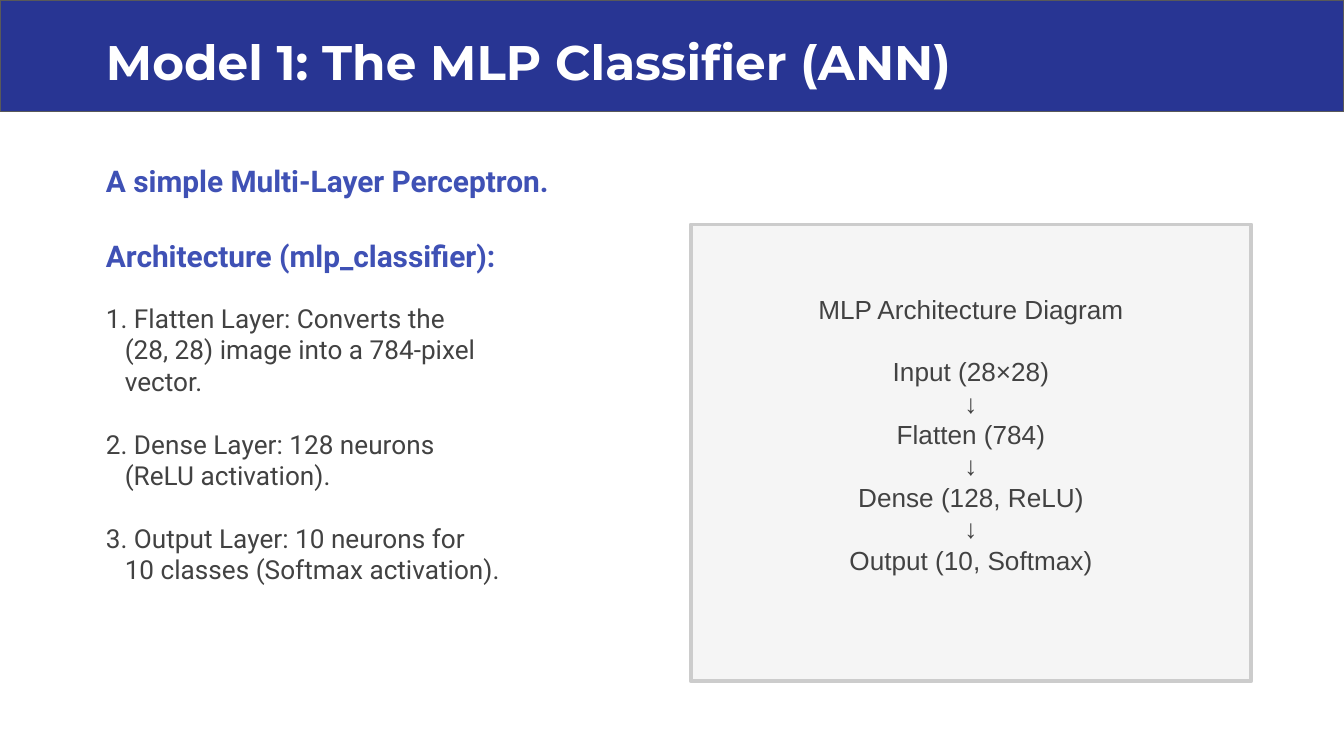
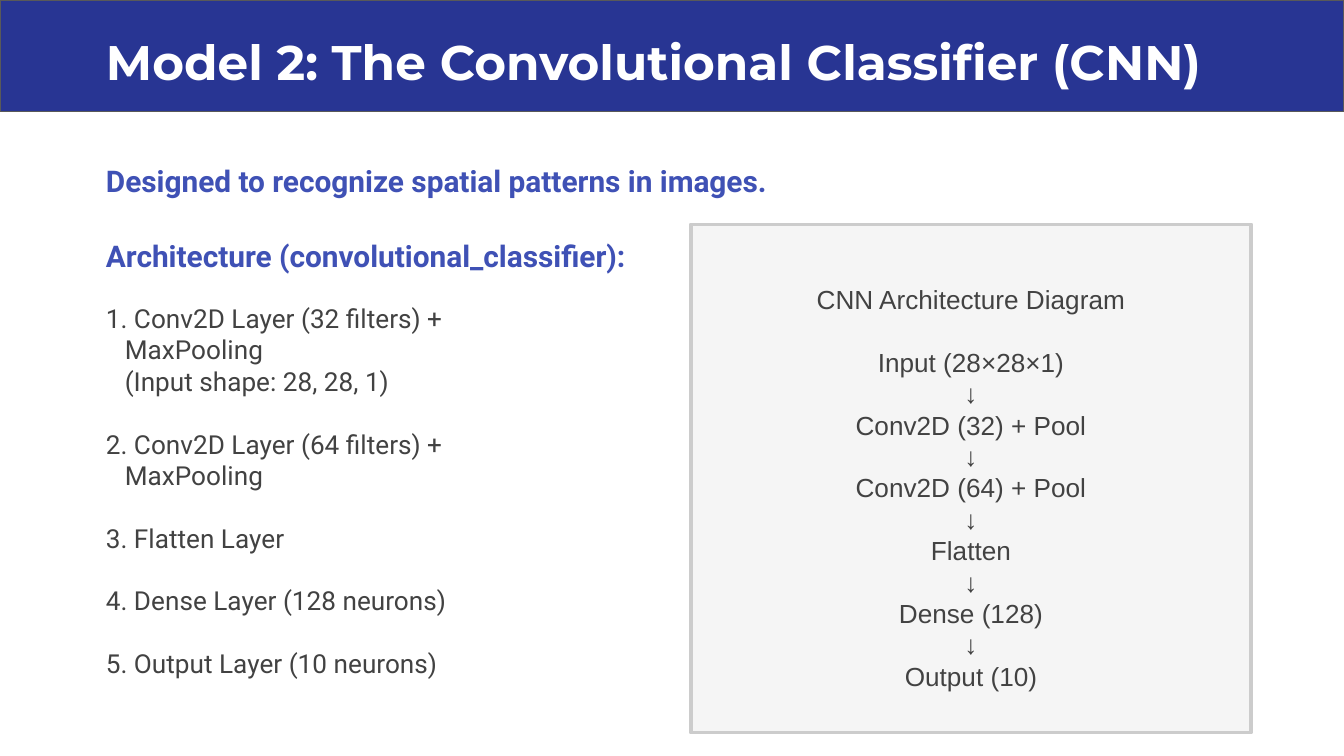
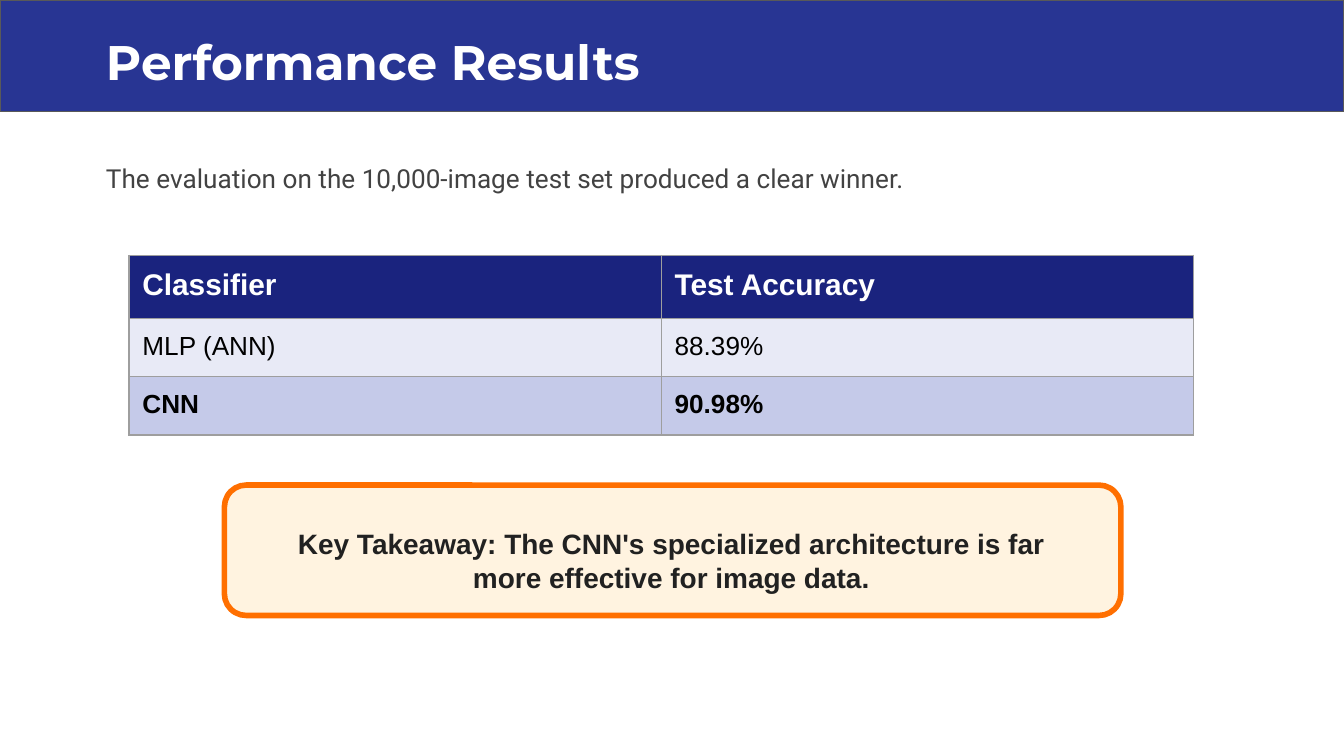
from dataclasses import dataclass

from lxml import etree
from pptx import Presentation
from pptx.dml.color import RGBColor
from pptx.enum.shapes import MSO_SHAPE
from pptx.enum.text import PP_ALIGN
from pptx.oxml.ns import qn
from pptx.util import Inches, Pt

RECTANGLE = MSO_SHAPE.RECTANGLE
ROUNDED_RECTANGLE = MSO_SHAPE.ROUNDED_RECTANGLE
LEFT = PP_ALIGN.LEFT
CENTER = PP_ALIGN.CENTER

COLORS = {
    "white": "FFFFFF",
    "black": "000000",
    "band": "283593",
    "band_line": "595959",
    "heading": "3F51B5",
    "body": "424242",
    "panel": "F5F5F5",
    "panel_line": "CCCCCC",
    "table_header": "1A237E",
    "table_row": "E8EAF6",
    "table_best": "C5CAE9",
    "table_line": "9E9E9E",
    "takeaway": "FFF3E0",
    "takeaway_line": "FF6F00",
    "takeaway_text": "212121",
}
TITLE_FONT = "Montserrat"
BODY_FONT = "Roboto"
PLAIN_FONT = "Arial"

LINE_RATIO = 1.2
INSET = Inches(0.1)
HANGING_INDENT = Inches(0.14)
SLIDE_WIDTH = 10
SLIDE_HEIGHT = SLIDE_WIDTH * 9 / 16
MARGIN = 0.69
CONTENT_WIDTH = 8.61
COLUMN_WIDTH = 4.17
PANEL_LEFT = 5.14
PANEL_TOP = 1.67


@dataclass(frozen=True)
class Box:
    left: float
    top: float
    width: float
    height: float

    def lengths(self) -> list:
        return [Inches(value) for value in (self.left, self.top, self.width, self.height)]


@dataclass(frozen=True)
class Model:
    title: str
    summary: str
    function_name: str
    layers: list[str]
    diagram_title: str
    stages: list[str]
    panel_height: float
    diagram_box: Box


@dataclass(frozen=True)
class ResultRow:
    cells: tuple[str, str]
    fill: str
    color: str = "black"
    size: int = 14
    bold: bool = False
    height: float = 0.43


MODELS = [
    Model(
        title="Model 1: The MLP Classifier (ANN)",
        summary="A simple Multi-Layer Perceptron.",
        function_name="mlp_classifier",
        layers=[
            "Flatten Layer: Converts the\v(28, 28) image into a 784-pixel\vvector.",
            "Dense Layer: 128 neurons\v(ReLU activation).",
            "Output Layer: 10 neurons for\v10 classes (Softmax activation).",
        ],
        diagram_title="MLP Architecture Diagram",
        stages=["Input (28×28)", "Flatten (784)", "Dense (128, ReLU)", "Output (10, Softmax)"],
        panel_height=3.4,
        diagram_box=Box(PANEL_LEFT, 2.08, COLUMN_WIDTH, 2.57),
    ),
    Model(
        title="Model 2: The Convolutional Classifier (CNN)",
        summary="Designed to recognize spatial patterns in images.",
        function_name="convolutional_classifier",
        layers=[
            "Conv2D Layer (32 filters) +\vMaxPooling\v(Input shape: 28, 28, 1)",
            "Conv2D Layer (64 filters) +\vMaxPooling",
            "Flatten Layer",
            "Dense Layer (128 neurons)",
            "Output Layer (10 neurons)",
        ],
        diagram_title="CNN Architecture Diagram",
        stages=[
            "Input (28×28×1)",
            "Conv2D (32) + Pool",
            "Conv2D (64) + Pool",
            "Flatten",
            "Dense (128)",
            "Output (10)",
        ],
        panel_height=3.78,
        diagram_box=Box(PANEL_LEFT, 2.01, COLUMN_WIDTH, 2.71),
    ),
]

RESULTS = [
    ResultRow(("Classifier", "Test Accuracy"), "table_header", "white", 16, True, 0.47),
    ResultRow(("MLP (ANN)", "88.39%"), "table_row"),
    ResultRow(("CNN", "90.98%"), "table_best", bold=True),
]


def rgb(name: str) -> RGBColor:
    return RGBColor.from_string(COLORS[name])


def write_text(frame, *texts: str, font: str = BODY_FONT, size: int = 14,
               color: str = "body", bold: bool = False, align=LEFT,
               gaps: tuple = (), hanging: bool = False, spaced: bool = True) -> None:
    line_height = Pt(size * LINE_RATIO)
    for index, text in enumerate(texts):
        paragraph = frame.paragraphs[0] if index == 0 else frame.add_paragraph()
        paragraph.text = text
        paragraph.alignment = align
        if spaced:
            paragraph.line_spacing = line_height
        if index in gaps:
            paragraph.space_before = line_height
        if hanging:
            properties = paragraph._p.get_or_add_pPr()
            properties.set("marL", str(HANGING_INDENT))
            properties.set("indent", str(-HANGING_INDENT))
        for run in paragraph.runs:
            run.font.name = font
            run.font.size = Pt(size)
            run.font.bold = bold
            run.font.color.rgb = rgb(color)


def add_text(slide, box: Box, *texts: str, **text_format) -> None:
    frame = slide.shapes.add_textbox(*box.lengths()).text_frame
    frame.word_wrap = True
    frame.margin_left = frame.margin_right = INSET
    frame.margin_top = frame.margin_bottom = INSET
    write_text(frame, *texts, **text_format)


def add_panel(slide, box: Box, fill: str, line: str, line_width: float,
              kind=RECTANGLE) -> None:
    shape = slide.shapes.add_shape(kind, *box.lengths())
    shape.shadow.inherit = False
    shape.fill.solid()
    shape.fill.fore_color.rgb = rgb(fill)
    shape.line.color.rgb = rgb(line)
    shape.line.width = Pt(line_width)


def add_titled_slide(presentation, title: str):
    slide = presentation.slides.add_slide(presentation.slide_layouts[6])
    add_panel(slide, Box(0, 0, SLIDE_WIDTH, 0.83), "band", "band_line", 0.75)
    add_text(slide, Box(MARGIN, 0.14, CONTENT_WIDTH, 0.56), title,
             font=TITLE_FONT, size=26, color="white", bold=True)
    return slide


def add_model_slide(presentation, model: Model) -> None:
    slide = add_titled_slide(presentation, model.title)
    headings = [
        (Box(MARGIN, 1.11, CONTENT_WIDTH, 0.42), model.summary),
        (Box(MARGIN, PANEL_TOP, 4.44, 0.42), f"Architecture ({model.function_name}):"),
    ]
    for box, heading in headings:
        add_text(slide, box, heading, size=16, color="heading", bold=True)

    layers = [f"{number}. {layer}" for number, layer in enumerate(model.layers, 1)]
    add_text(slide, Box(MARGIN, 2.15, COLUMN_WIDTH, 2.92), *layers,
             gaps=tuple(range(1, len(layers))), hanging=True)

    add_panel(slide, Box(PANEL_LEFT, PANEL_TOP, COLUMN_WIDTH, model.panel_height),
              "panel", "panel_line", 2)
    flow = "\n↓\n".join(model.stages).split("\n")
    add_text(slide, model.diagram_box, model.diagram_title, *flow,
             font=PLAIN_FONT, align=CENTER, gaps=(1,))


def add_cell_borders(cell, color: str, width: float) -> None:
    properties = cell._tc.get_or_add_tcPr()
    for side in ("a:lnL", "a:lnR", "a:lnT", "a:lnB"):
        line = etree.SubElement(properties, qn(side), w=str(Pt(width)))
        fill = etree.SubElement(line, qn("a:solidFill"))
        etree.SubElement(fill, qn("a:srgbClr"), val=COLORS[color])


def add_results_table(slide, box: Box, rows: list[ResultRow]) -> None:
    columns = len(rows[0].cells)
    table = slide.shapes.add_table(len(rows), columns, *box.lengths()).table
    table.first_row = False
    table.horz_banding = False
    for row_index, row in enumerate(rows):
        table.rows[row_index].height = Inches(row.height)
        for column_index, text in enumerate(row.cells):
            cell = table.cell(row_index, column_index)
            cell.margin_left = cell.margin_right = INSET
            cell.margin_top = cell.margin_bottom = INSET
            add_cell_borders(cell, "table_line", 0.75)
            cell.fill.solid()
            cell.fill.fore_color.rgb = rgb(row.fill)
            write_text(cell.text_frame, text, font=PLAIN_FONT, size=row.size,
                       color=row.color, bold=row.bold, spaced=False)


def add_results_slide(presentation) -> None:
    slide = add_titled_slide(presentation, "Performance Results")
    add_text(slide, Box(MARGIN, 1.11, CONTENT_WIDTH, 0.56),
             "The evaluation on the 10,000-image test set produced a clear winner.")
    add_results_table(slide, Box(0.96, 1.9, 7.92, 1.33), RESULTS)
    add_panel(slide, Box(1.67, 3.61, 6.67, 0.97), "takeaway", "takeaway_line", 3,
              ROUNDED_RECTANGLE)
    add_text(slide, Box(1.94, 3.82, 6.11, 0.56),
             "Key Takeaway: The CNN's specialized architecture is far "
             "more effective for image data.",
             font=PLAIN_FONT, size=15, color="takeaway_text", bold=True, align=CENTER)


def main() -> None:
    presentation = Presentation()
    presentation.slide_width = Inches(SLIDE_WIDTH)
    presentation.slide_height = Inches(SLIDE_HEIGHT)
    for model in MODELS:
        add_model_slide(presentation, model)
    add_results_slide(presentation)
    presentation.save("out.pptx")


if __name__ == "__main__":
    main()
